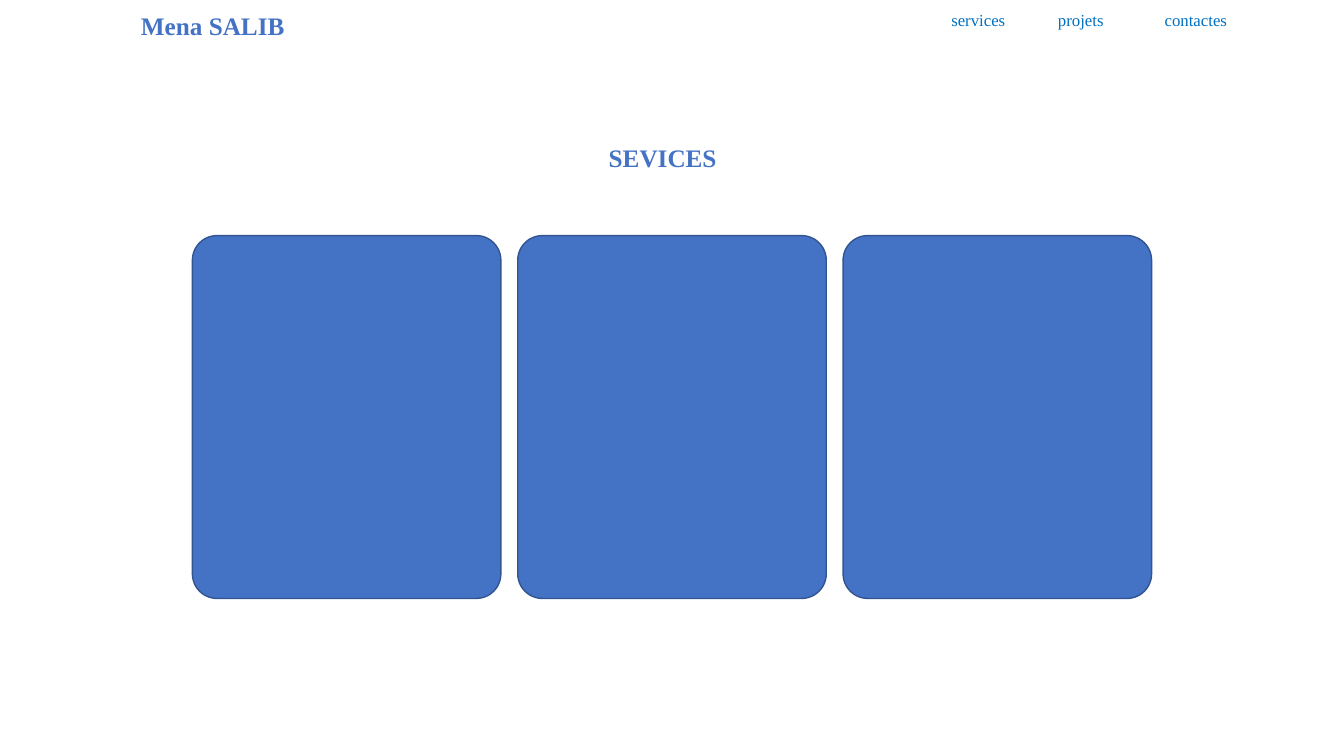
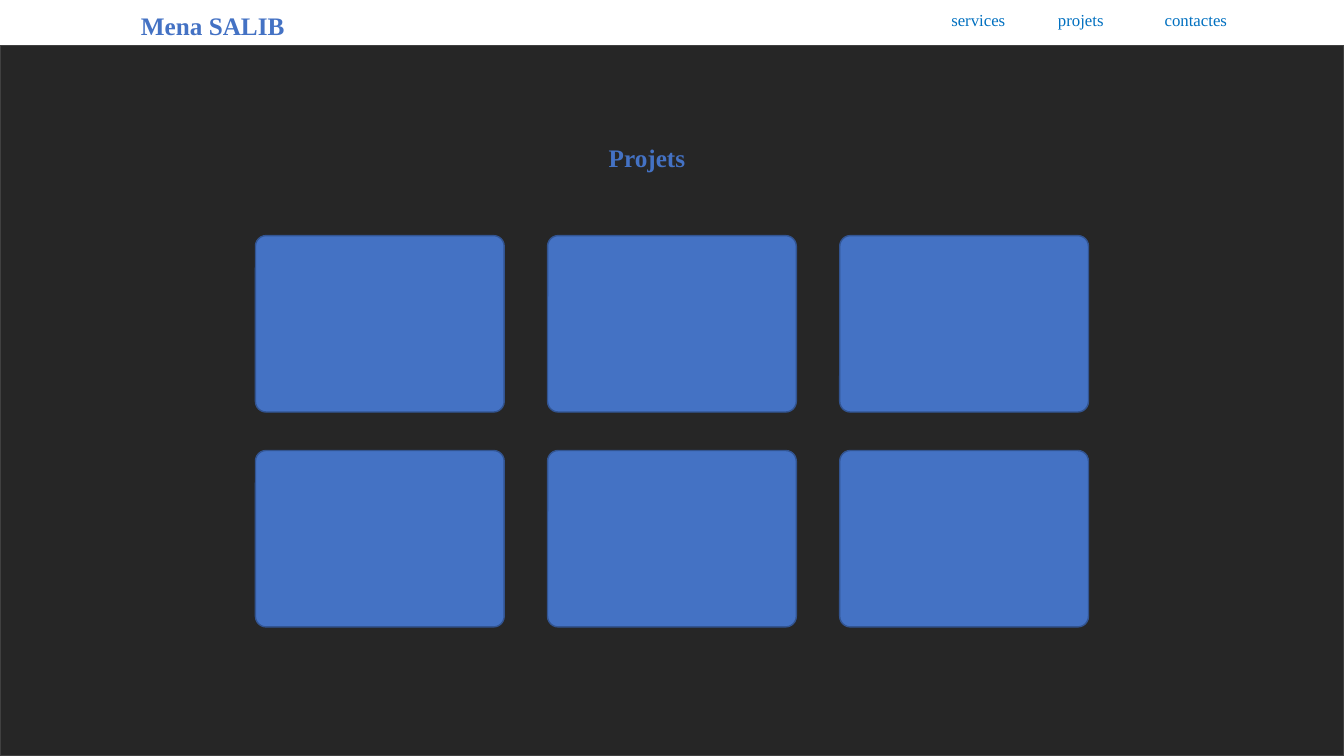
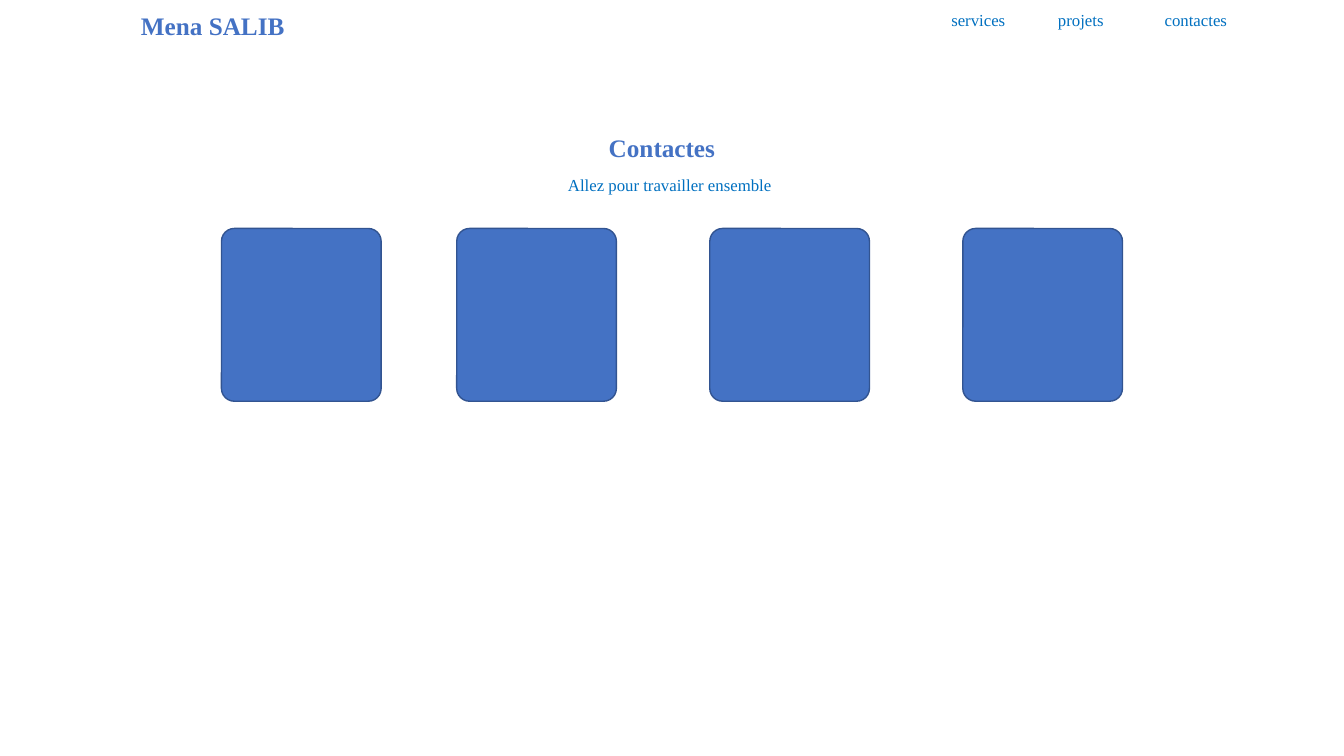
from itertools import accumulate

from pptx import Presentation
from pptx.dml.color import RGBColor
from pptx.enum.shapes import MSO_SHAPE
from pptx.enum.text import MSO_ANCHOR, MSO_AUTO_SIZE, PP_ALIGN
from pptx.util import Pt

SLIDE_W, SLIDE_H = 960, 540
FONT = "Times New Roman"
COLORS = {
    "accent": "4472C4",
    "accent_edge": "325491",
    "link": "0070C0",
    "dark": "262626",
    "dark_edge": "404040",
}
HEADING = {"size": 18, "color": "accent", "bold": True}
LINK = {"size": 12, "color": "link"}

HEADER = (0, 0, SLIDE_W, 32.4)
NAV_LINKS = ("services", "projets", "contactes")
NAV_LEFT, NAV_PITCH = 672.4, 76.2


def rgb(name):
    return RGBColor.from_string(COLORS[name])


def place(shape, box):
    shape.left, shape.top, shape.width, shape.height = map(Pt, box)


def write(frame, text, size=12, color="link", bold=False):
    frame.word_wrap = True
    frame.auto_size = MSO_AUTO_SIZE.NONE
    frame.vertical_anchor = MSO_ANCHOR.TOP
    paragraph = frame.paragraphs[0]
    paragraph.alignment = PP_ALIGN.LEFT
    run = paragraph.add_run()
    run.text = text
    run.font.name = FONT
    run.font.size = Pt(size)
    run.font.bold = bold
    run.font.color.rgb = rgb(color)


def add_label(slide, box, text, **style):
    label = slide.shapes.add_textbox(*map(Pt, box))
    write(label.text_frame, text, **style)


def add_panel(slide, box, fill, edge, corner=None):
    kind = MSO_SHAPE.RECTANGLE if corner is None else MSO_SHAPE.ROUNDED_RECTANGLE
    panel = slide.shapes.add_shape(kind, *map(Pt, box))
    if corner is not None:
        panel.adjustments[0] = corner
    panel.shadow.inherit = False
    panel.fill.solid()
    panel.fill.fore_color.rgb = rgb(fill)
    panel.line.color.rgb = rgb(edge)
    panel.line.width = Pt(1)
    return panel


def add_header(slide, box):
    left, top, _, height = box
    add_label(slide, (left + 93.6, top + 3.6, 129, height - 3.6), "Mena SALIB", **HEADING)
    for i, link in enumerate(NAV_LINKS):
        link_box = (left + NAV_LEFT + i * NAV_PITCH, top + 3.6, 63, 21.6)
        add_label(slide, link_box, link, **LINK)


def add_cards(slide, box, column_gaps, row_gaps=(), corner=0.08):
    """Fill the box with equal cards, separated by the given gaps."""
    left, top, width, height = box
    card_w = (width - sum(column_gaps)) / (len(column_gaps) + 1)
    card_h = (height - sum(row_gaps)) / (len(row_gaps) + 1)
    for y in accumulate((card_h + gap for gap in row_gaps), initial=top):
        for x in accumulate((card_w + gap for gap in column_gaps), initial=left):
            add_panel(slide, (x, y, card_w, card_h), "accent", "accent_edge", corner)


def add_page(deck, title, title_top=98):
    """Start a title-only slide with the shared header."""
    slide = deck.slides.add_slide(deck.slide_layouts[5])
    place(slide.shapes.title, (427.6, title_top, 105, 29))
    write(slide.shapes.title.text_frame, title, **HEADING)
    add_header(slide, HEADER)
    return slide


def add_services(deck):
    slide = add_page(deck, "SEVICES")
    add_cards(slide, (137.4, 168.3, 685.2, 259.2), column_gaps=(12, 12))


def add_projects(deck):
    slide = add_page(deck, "Projets")
    body_top = HEADER[3]
    backdrop = add_panel(
        slide, (0, body_top, SLIDE_W, SLIDE_H - body_top), "dark", "dark_edge")
    # The backdrop goes behind the title and everything else
    slide.shapes.title.element.addprevious(backdrop.element)
    add_cards(slide, (182.5, 168.3, 595, 279.5), column_gaps=(31, 31),
              row_gaps=(27.5,), corner=0.06)


def add_contacts(deck):
    slide = add_page(deck, "Contactes", title_top=90.7)
    add_label(slide, (398.6, 121, 163, 21.6), "Allez pour travailler ensemble", **LINK)
    add_cards(slide, (158.2, 163.2, 643.6, 123.4), column_gaps=(54, 66.7, 66.7))


def main():
    deck = Presentation()
    deck.slide_width, deck.slide_height = Pt(SLIDE_W), Pt(SLIDE_H)
    add_services(deck)
    add_projects(deck)
    add_contacts(deck)
    deck.save("out.pptx")


if __name__ == "__main__":
    main()
